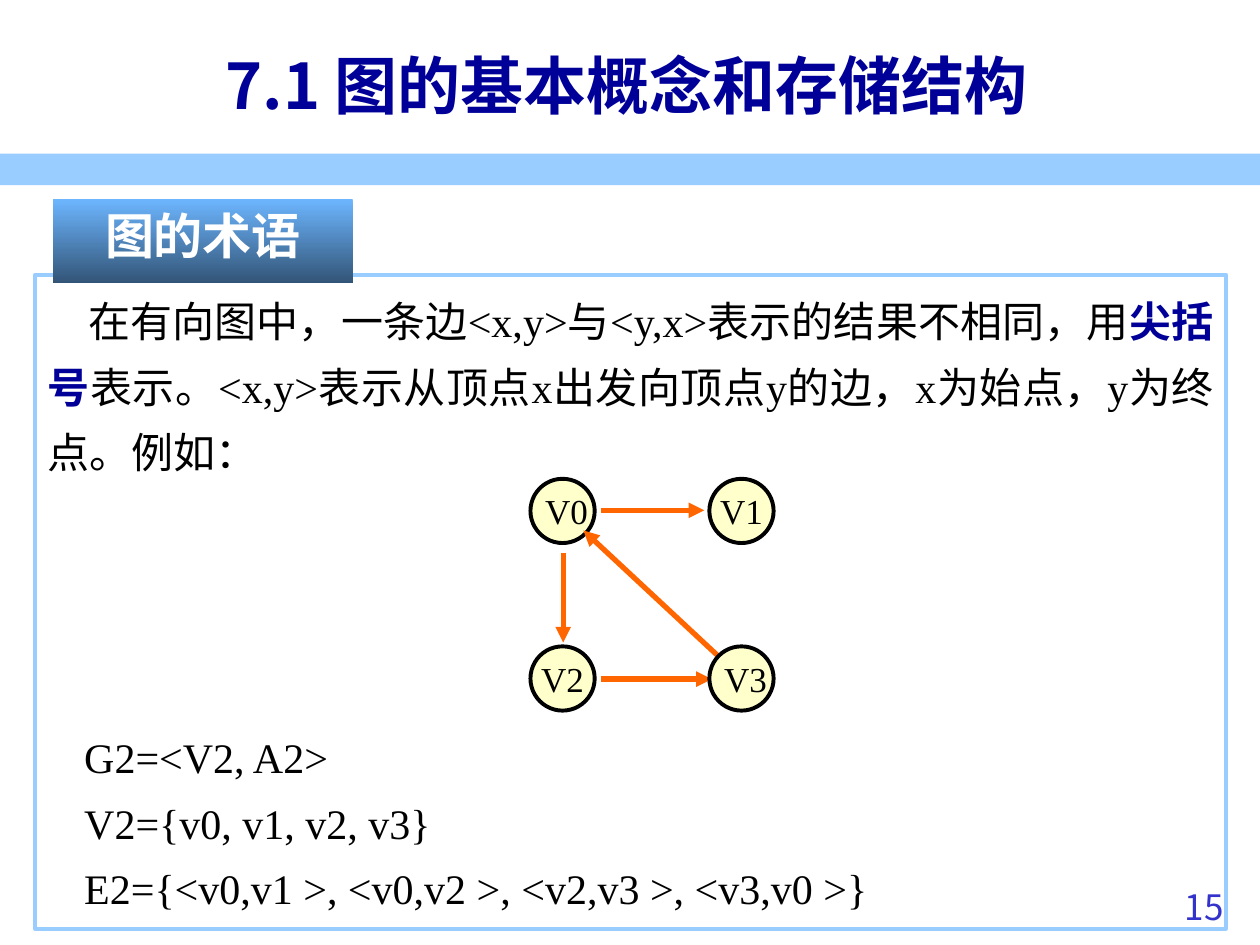
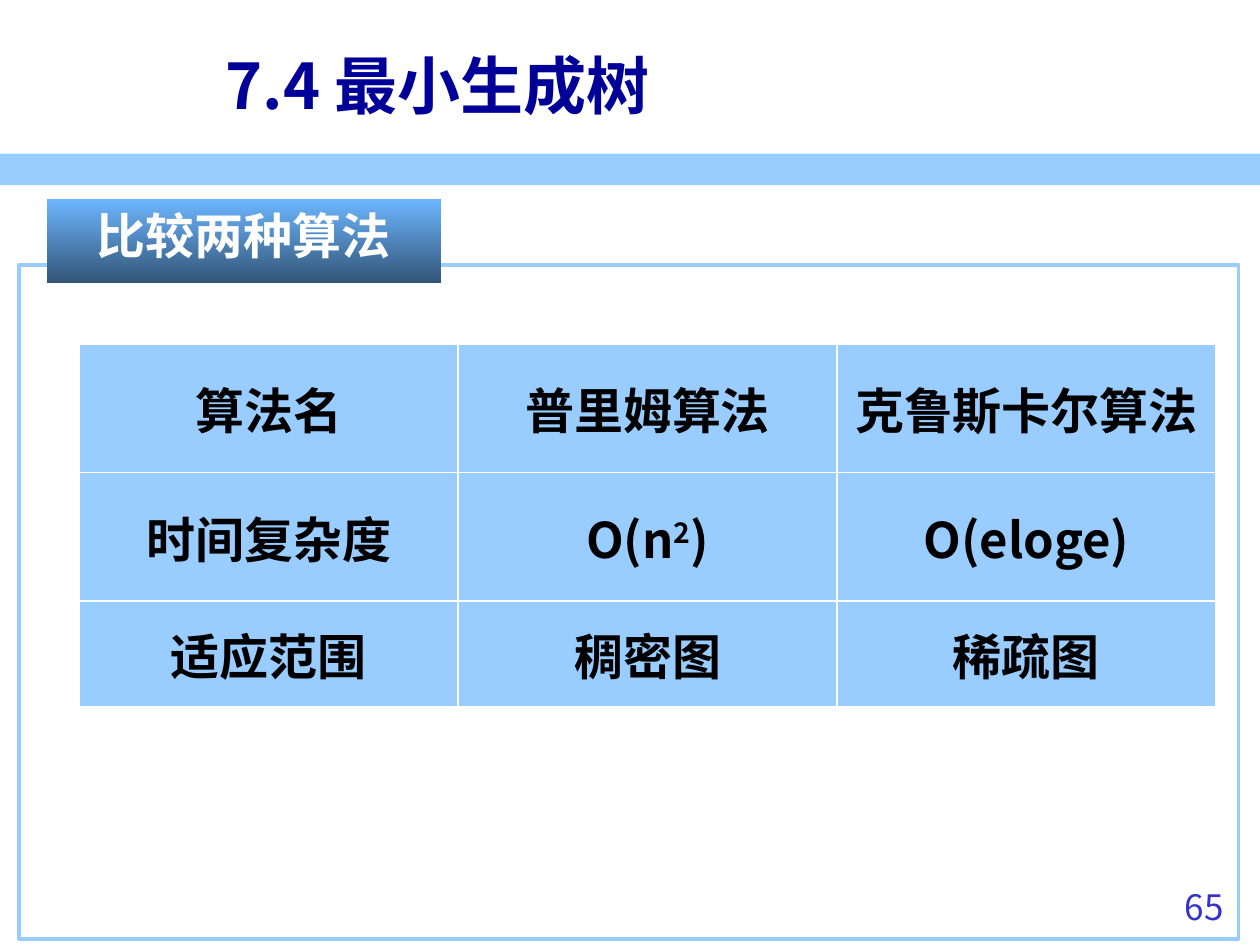
from lxml.etree import SubElement
from pptx import Presentation
from pptx.dml.color import RGBColor
from pptx.enum.shapes import MSO_CONNECTOR as CONNECTOR, MSO_SHAPE as SHAPE
from pptx.enum.text import MSO_ANCHOR as ANCHOR, MSO_AUTO_SIZE as AUTO_SIZE, PP_ALIGN as ALIGN
from pptx.oxml import parse_xml
from pptx.oxml.ns import nsdecls, qn
from pptx.util import Inches, Pt

# Shared look
SKY = RGBColor(0x99, 0xCC, 0xFF)
NAVY = RGBColor(0x00, 0x00, 0x99)
PAGE_BLUE = RGBColor(0x33, 0x33, 0xCC)
LABEL_TOP = RGBColor(0x6D, 0xB6, 0xFF)
LABEL_BOTTOM = RGBColor(0x32, 0x54, 0x76)
CREAM = RGBColor(0xFF, 0xFF, 0xCC)
ORANGE = RGBColor(0xFF, 0x66, 0x00)
BLACK = RGBColor(0, 0, 0)
WHITE = RGBColor(0xFF, 0xFF, 0xFF)
SANS = "Noto Sans CJK SC"
SANS_KR = "Noto Sans CJK KR"
SERIF = "Times New Roman"


def write_text(frame, paragraphs, size=24, font=SANS, color=BLACK, bold=False,
               align=ALIGN.LEFT, anchor=ANCHOR.TOP, wrap=True, spacing=None, indent=0):
    """Each paragraph is a string or a list of (text, run overrides)."""
    frame.word_wrap = wrap
    frame.vertical_anchor = anchor
    for number, content in enumerate(paragraphs):
        paragraph = frame.add_paragraph() if number else frame.paragraphs[0]
        paragraph.alignment = align
        if spacing:
            paragraph.line_spacing = spacing
        if indent:
            paragraph._p.get_or_add_pPr().set("indent", str(Inches(indent)))
        runs = [(content, {})] if isinstance(content, str) else content
        for text, special in runs:
            run = paragraph.add_run()
            run.text = text
            run.font.size = Pt(size)
            run.font.name = font
            run.font.bold = special.get("bold", bold)
            run.font.color.rgb = special.get("color", color)
            properties = run._r.get_or_add_rPr()
            if "baseline" in special:
                properties.set("baseline", str(special["baseline"] * 1000))
            east_asian = SANS if font == SERIF else font
            SubElement(properties, qn("a:ea")).set("typeface", east_asian)


def add_box(slide, kind, box, fill=None, line=None):
    shape = slide.shapes.add_shape(kind, *map(Inches, box))
    shape.shadow.inherit = False
    if fill is None:
        shape.fill.background()
    else:
        shape.fill.solid()
        shape.fill.fore_color.rgb = fill
    if line is None:
        shape.line.fill.background()
    else:
        shape.line.color.rgb = line
        shape.line.width = Pt(2.25)
    return shape


def add_text_box(slide, box, paragraphs, **text_format):
    frame = slide.shapes.add_textbox(*map(Inches, box)).text_frame
    write_text(frame, paragraphs, **text_format)


def add_page(prs, heading, page_number):
    slide = prs.slides.add_slide(prs.slide_layouts[5])
    title = slide.shapes.title
    title.left, title.top, title.width, title.height = map(Inches, (1.69, 0.21, 8.19, 0.92))
    title.text_frame.auto_size = AUTO_SIZE.NONE
    write_text(title.text_frame, [heading], size=36, color=NAVY, bold=True, anchor=ANCHOR.MIDDLE)
    add_text_box(slide, (8.86, 6.98, 0.95, 0.52), [page_number], size=20,
                 font=SANS_KR, color=PAGE_BLUE, align=ALIGN.RIGHT)
    return slide


def add_band_to_layout(slide):
    """Put the blue band on the layout, so that every page shows it."""
    band = add_box(slide, SHAPE.RECTANGLE, (0, 1.22, 10, 0.25), SKY)
    slide.slide_layout.shapes.element.append(band.element)


def add_label(slide, left, width, text):
    label = add_box(slide, SHAPE.RECTANGLE, (left, 1.58, width, 0.67))
    label.fill.gradient()
    label.fill.gradient_angle = 270
    for stop, position, color in zip(label.fill.gradient_stops, (0, 1), (LABEL_TOP, LABEL_BOTTOM)):
        stop.position = position
        stop.color.rgb = color
    write_text(label.text_frame, [text], size=28, color=WHITE, bold=True, align=ALIGN.CENTER)


def add_vertex(slide, left, top, name):
    vertex = add_box(slide, SHAPE.OVAL, (left, top, 0.51, 0.51), CREAM, BLACK)
    write_text(vertex.text_frame, [name], size=20, font=SERIF, align=ALIGN.CENTER,
               anchor=ANCHOR.MIDDLE, wrap=False)


def add_edge(slide, start, end):
    edge = slide.shapes.add_connector(CONNECTOR.STRAIGHT, *map(Inches, start + end))
    edge.line.color.rgb = ORANGE
    edge.line.width = Pt(3)
    properties = edge.element.spPr
    SubElement(properties.find(qn("a:ln")), qn("a:tailEnd")).set("type", "triangle")
    SubElement(properties, qn("a:effectLst"))


def set_borders(cell):
    properties = cell._tc.get_or_add_tcPr()
    for place, side in enumerate(("lnL", "lnR", "lnT", "lnB")):
        properties.insert(place, parse_xml(
            f'<a:{side} {nsdecls("a")} w="{Pt(1)}"><a:solidFill>'
            f'<a:srgbClr val="{WHITE}"/></a:solidFill></a:{side}>'))


def add_comparison(slide, rows, row_heights):
    table = slide.shapes.add_table(len(rows), len(rows[0]), Inches(0.63), Inches(2.73),
                                   Inches(9.02), Inches(sum(row_heights))).table
    table.first_row = table.horz_banding = False
    for row, height, contents in zip(table.rows, row_heights, rows):
        row.height = Inches(height)
        for cell, content in zip(row.cells, contents):
            cell.fill.solid()
            cell.fill.fore_color.rgb = SKY
            set_borders(cell)
            write_text(cell.text_frame, [content], size=28, bold=True, align=ALIGN.CENTER)
            cell.vertical_anchor = ANCHOR.MIDDLE


def build_terms(slide):
    # Definition
    definition = add_box(slide, SHAPE.RECTANGLE, (0.28, 2.18, 9.45, 5.19), line=SKY)
    write_text(definition.text_frame, [[
        ("在有向图中，一条边<x,y>与<y,x>表示的结果不相同，用", {}),
        ("尖括号", {"color": NAVY, "bold": True}),
        ("表示。<x,y>表示从顶点x出发向顶点y的边，x为始点，y为终点。例如：", {}),
    ]], font=SERIF, align=ALIGN.JUSTIFY, spacing=1.3, indent=0.32)
    add_text_box(slide, (0.57, 5.64, 8.83, 1.66), [
        "G2=<V2, A2>",
        "V2={v0, v1, v2, v3}",
        "E2={<v0,v1 >, <v0,v2 >, <v2,v3 >, <v3,v0 >}",
    ], font=SERIF, align=ALIGN.JUSTIFY, spacing=1.3)

    # Directed graph: edges lie over the left vertices and under the right ones
    left, right, upper, lower = 4.21, 5.63, 3.8, 5.13
    add_vertex(slide, left, upper, " V0")
    add_vertex(slide, left, lower, "V2")
    for start, end in (((4.47, 4.39), (4.47, 5.1)), ((4.77, 5.39), (5.65, 5.39)),
                       ((4.77, 4.05), (5.59, 4.05)), ((5.8, 5.3), (4.63, 4.21))):
        add_edge(slide, start, end)
    add_vertex(slide, right, lower, " V3")
    add_vertex(slide, right, upper, "V1")
    add_label(slide, 0.42, 2.38, "图的术语")


def build_comparison(slide):
    n_squared = [("O(n", {}), ("2", {"baseline": 30}), (")", {})]
    add_comparison(slide, [
        ["算法名", "普里姆算法", "克鲁斯卡尔算法"],
        ["时间复杂度", n_squared, "O(eloge)"],
        ["适应范围", "稠密图", "稀疏图"],
    ], (1.02, 1.02, 0.84))
    add_box(slide, SHAPE.RECTANGLE, (0.15, 2.1, 9.68, 5.35), line=SKY)
    add_label(slide, 0.37, 3.13, "比较两种算法")


def main():
    prs = Presentation()
    prs.slide_width, prs.slide_height = Inches(10), Inches(7.5)
    terms = add_page(prs, "7.1 图的基本概念和存储结构", "15")
    add_band_to_layout(terms)
    build_terms(terms)
    build_comparison(add_page(prs, "7.4 最小生成树", "65"))
    prs.save("out.pptx")


if __name__ == "__main__":
    main()
